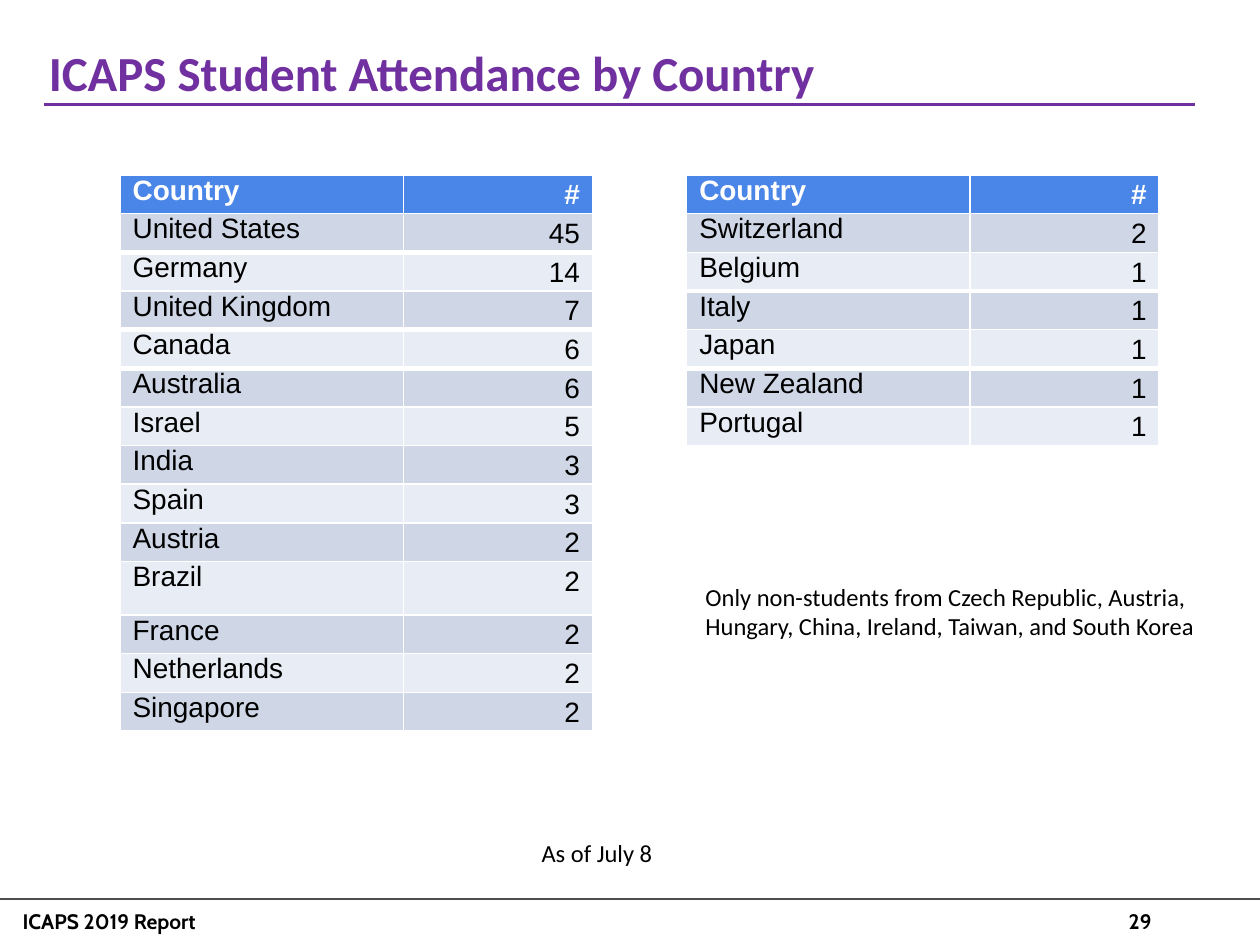
import dataclasses

import lxml.etree
import pptx
import pptx.dml.color
import pptx.enum.shapes
import pptx.enum.text
import pptx.oxml.ns
import pptx.util

Pt = pptx.util.Pt
ALIGN = pptx.enum.text.PP_ALIGN


@dataclasses.dataclass(frozen=True)
class Theme:
    title: str = "7030A0"
    text: str = "000000"
    inverse: str = "FFFFFF"
    footer_rule: str = "4D4D4D"
    header_fill: str = "4A86E8"
    bands: tuple = ("CFD7E7", "E8ECF4")
    border: str = "FFFFFF"
    title_size: float = 28
    table_size: float = 16
    note_size: float = 14
    footer_size: float = 12
    body_font: str = "Calibri"
    table_font: str = "Arial"
    footer_font: str = "Cabin"


THEME = Theme()
ROW_HEIGHT = 22.1
COLUMN_WIDTHS = (162, 108)
TABLE_TOP = 100

LEADING_COUNTRIES = (
    ("United States", 45), ("Germany", 14), ("United Kingdom", 7),
    ("Canada", 6), ("Australia", 6), ("Israel", 5), ("India", 3),
    ("Spain", 3), ("Austria", 2), ("Brazil", 2), ("France", 2),
    ("Netherlands", 2), ("Singapore", 2),
)
OTHER_COUNTRIES = (
    ("Switzerland", 2), ("Belgium", 1), ("Italy", 1),
    ("Japan", 1), ("New Zealand", 1), ("Portugal", 1),
)


def rgb(color):
    return pptx.dml.color.RGBColor.from_string(color)


def write_text(frame, text, *, size, font=THEME.body_font, color=THEME.text,
               bold=False, align=ALIGN.LEFT, spacing=None):
    paragraph = frame.paragraphs[0]
    paragraph.alignment = align
    if spacing:
        paragraph.line_spacing = spacing
    run = paragraph.add_run()
    run.text = text
    run.font.size = Pt(size)
    run.font.name = font
    run.font.bold = bold
    run.font.color.rgb = rgb(color)


def add_text_box(slide, box, text, *, inset=(7.2, 3.6), **text_format):
    shape = slide.shapes.add_textbox(*map(Pt, box))
    frame = shape.text_frame
    frame.word_wrap = True
    frame.margin_left, frame.margin_top = map(Pt, inset)
    frame.margin_right, frame.margin_bottom = Pt(7.2), Pt(inset[1])
    write_text(frame, text, **text_format)


def add_rule(slide, left, right, top, color):
    connector = slide.shapes.add_connector(
        pptx.enum.shapes.MSO_CONNECTOR.STRAIGHT,
        Pt(left), Pt(top), Pt(right), Pt(top))
    connector.line.color.rgb = rgb(color)
    connector.line.width = Pt(1.5)
    properties = connector._element.spPr
    lxml.etree.SubElement(properties, pptx.oxml.ns.qn("a:effectLst"))


def add_borders(cell, top, bottom):
    qn = pptx.oxml.ns.qn
    properties = cell._tc.get_or_add_tcPr()
    for side, width in (("L", 1), ("R", 1), ("T", top), ("B", bottom)):
        line = lxml.etree.SubElement(
            properties, qn(f"a:ln{side}"), w=str(Pt(width)))
        fill = lxml.etree.SubElement(line, qn("a:solidFill"))
        lxml.etree.SubElement(fill, qn("a:srgbClr"), val=THEME.border)


def add_country_table(slide, left, countries, heavy_after, tall_rows=None):
    records = [("Country", "#"), *countries]
    heights = [(tall_rows or {}).get(name, ROW_HEIGHT) for name, _ in records]
    table = slide.shapes.add_table(
        len(records), len(COLUMN_WIDTHS), Pt(left), Pt(TABLE_TOP),
        Pt(sum(COLUMN_WIDTHS)), Pt(sum(heights))).table
    for column, width in zip(table.columns, COLUMN_WIDTHS):
        column.width = Pt(width)

    top = 1
    for index, (record, height) in enumerate(zip(records, heights)):
        header = index == 0
        bottom = 3 if record[0] in heavy_after else 1
        table.rows[index].height = Pt(height)
        for position, value in enumerate(record):
            cell = table.cell(index, position)
            cell.margin_left = cell.margin_right = Pt(7.2)
            cell.margin_top = cell.margin_bottom = 0
            add_borders(cell, top, bottom)
            cell.fill.solid()
            cell.fill.fore_color.rgb = rgb(
                THEME.header_fill if header else THEME.bands[(index - 1) % 2])
            write_text(
                cell.text_frame, str(value), size=THEME.table_size,
                font=THEME.table_font, bold=header,
                color=THEME.inverse if header else THEME.text,
                align=ALIGN.RIGHT if position else ALIGN.LEFT,
                spacing=1.15 if position else None)
        top = bottom


def add_footer(slide):
    add_rule(slide, 0, 720, 513.8, THEME.footer_rule)
    for left, width, text in ((637.9, 82.8, "29"),
                              (5.8, 371.5, "ICAPS 2019 Report")):
        add_text_box(slide, (left, 515.5, width, 21.6), text,
                     size=THEME.footer_size, font=THEME.footer_font, bold=True)


def main():
    presentation = pptx.Presentation()
    presentation.slide_width = Pt(720)
    presentation.slide_height = Pt(540)
    slide = presentation.slides.add_slide(presentation.slide_layouts[6])

    add_footer(slide)
    add_text_box(slide, (14.4, 20.9, 648, 39.6),
                 "ICAPS Student Attendance by Country", inset=(13.5, 3.6),
                 size=THEME.title_size, color=THEME.title, bold=True)
    add_rule(slide, 25.2, 682.6, 59.8, THEME.title)

    add_country_table(slide, 68.6, LEADING_COUNTRIES,
                      {"United States", "United Kingdom", "Canada"},
                      {"Brazil": 30.6})
    add_country_table(slide, 392.4, OTHER_COUNTRIES, {"Belgium", "Japan"})

    add_text_box(slide, (396, 325.4, 303.1, 38.2),
                 "Only non-students from Czech Republic, Austria, Hungary, "
                 "China, Ireland, Taiwan, and South Korea",
                 inset=(7.2, 7.2), size=THEME.note_size)
    add_text_box(slide, (302.4, 471.6, 347.8, 40.3), "As of July 8",
                 inset=(7.2, 7.2), size=THEME.note_size)
    presentation.save("out.pptx")


if __name__ == "__main__":
    main()
